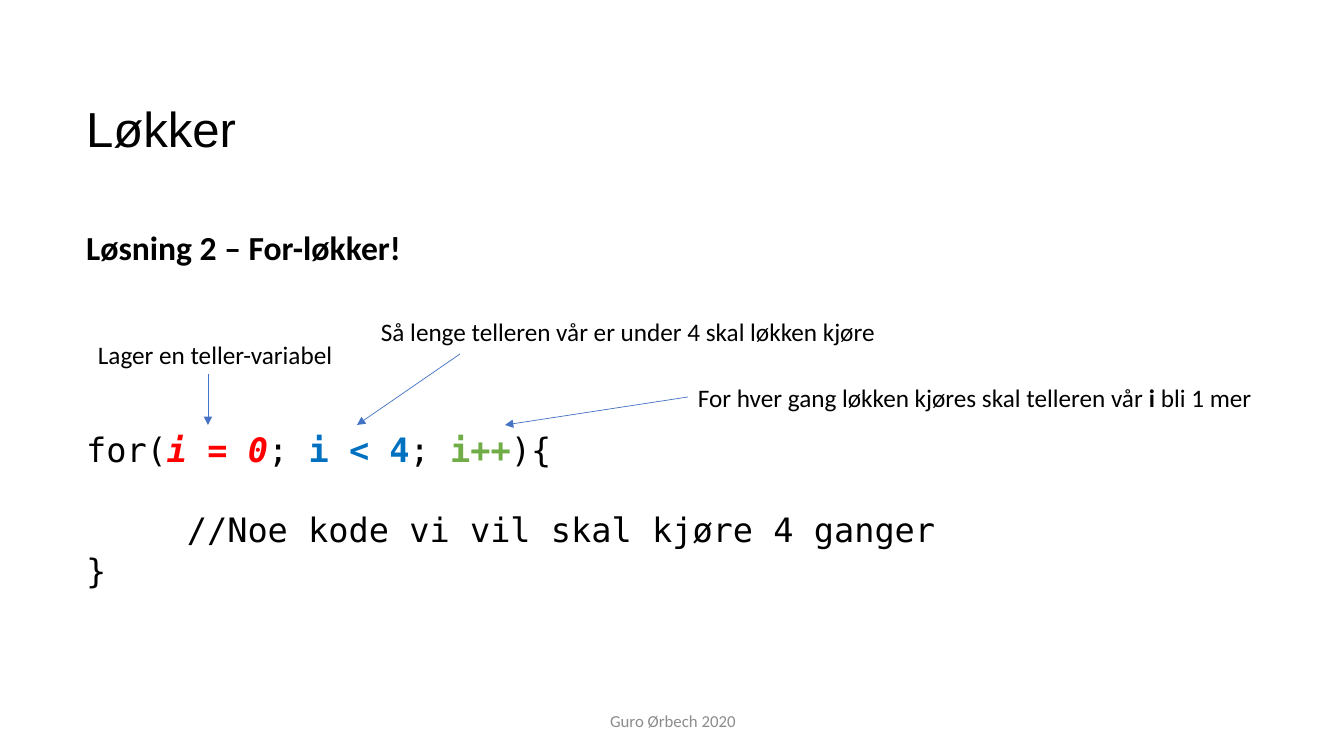
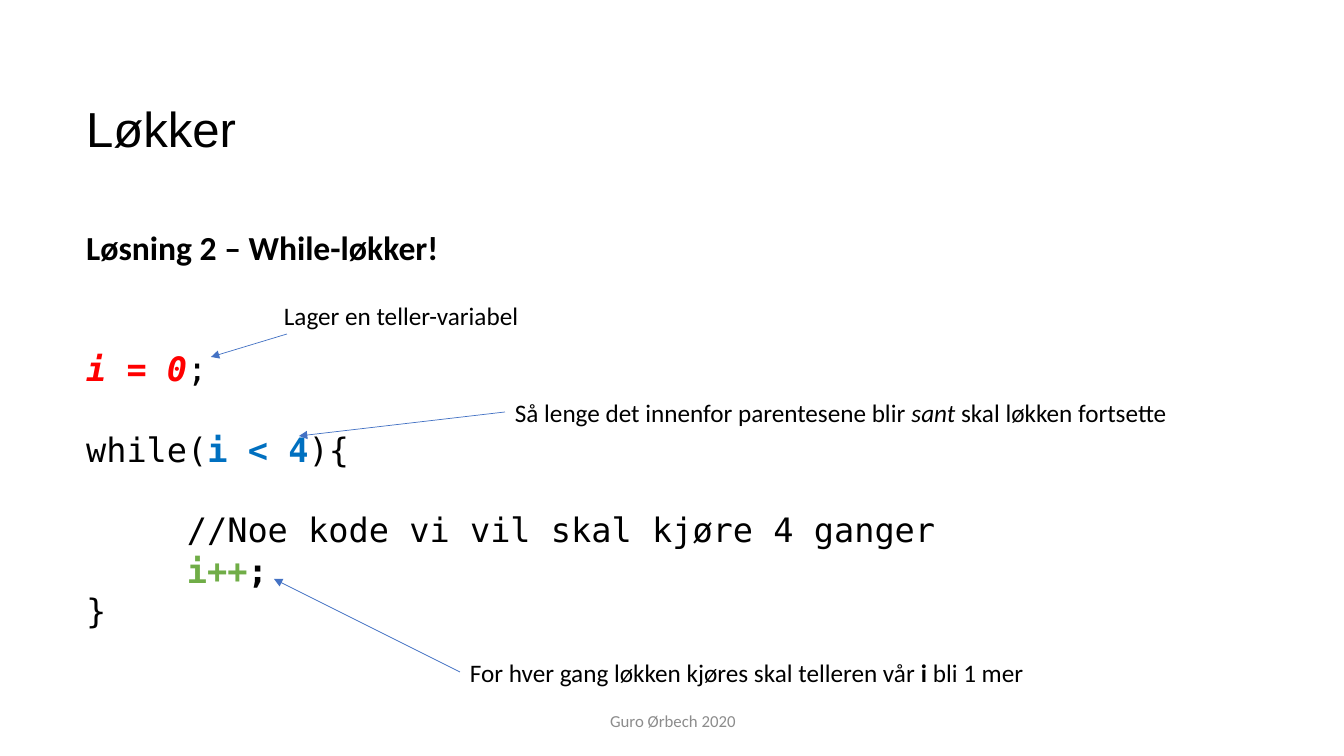
from pptx import Presentation, util as u
from pptx.dml.color import RGBColor
from pptx.enum import shapes, text
from pptx.oxml.ns import qn
from lxml import etree


class Theme:
    black = "000000"
    red = "FF0000"
    blue = "0070C0"
    green = "70AD47"
    grey = "8C8C8C"
    arrow = "4472C4"
    title_font, body_font, code_font = "Arial", "Calibri", "DejaVu Sans Mono"
    title_size, body_size, note_size, footer_size = 35.1, 24, 18, 12
    line_pitch = 28.8
    arrow_width = 0.5
    styles = {
        "plain": (black, False, False),
        "muted": (grey, False, False),
        "bold": (black, True, False),
        "italic": (black, False, True),
        "start": (red, True, True),
        "test": (blue, True, False),
        "step": (green, True, False),
    }


def px(n):
    return u.Emu(round(n * 914400 / 100.8))


class Deck:
    def __init__(self, theme):
        self.theme = theme
        self.prs = Presentation()
        self.prs.slide_width, self.prs.slide_height = px(1344), px(756)
        self.s = None

    def place(self, sp, left, top, width, height):
        sp.left, sp.top, sp.width, sp.height = map(px, (left, top, width, height))

    def add_runs(self, p, parts, font, size):
        for words, style in parts:
            color, bold, italic = self.theme.styles[style]
            r = p.add_run()
            r.text = words
            r.font.name, r.font.size = font, u.Pt(size)
            r.font.bold, r.font.italic = bold, italic
            r.font.color.rgb = RGBColor.from_string(color)

    def slide(self, title):
        self.s = self.prs.slides.add_slide(self.prs.slide_layouts[1])
        sp = self.s.shapes.title
        self.place(sp, 76, 78, 728, 108)
        tf = sp.text_frame
        tf.auto_size = text.MSO_AUTO_SIZE.NONE
        tf.vertical_anchor = text.MSO_ANCHOR.MIDDLE
        p = tf.paragraphs[0]
        p.alignment, p.line_spacing = text.PP_ALIGN.LEFT, 0.9
        self.add_runs(p, [(title, "plain")], self.theme.title_font, self.theme.title_size)
        self.footer("Guro Ørbech 2020")

    def footer(self, words):
        tf = self.s.shapes.add_textbox(px(446), px(701), px(454), px(40)).text_frame
        tf.word_wrap = True
        tf.vertical_anchor = text.MSO_ANCHOR.MIDDLE
        p = tf.paragraphs[0]
        p.alignment = text.PP_ALIGN.CENTER
        self.add_runs(p, [(words, "muted")], self.theme.body_font, self.theme.footer_size)

    def body(self, height, heading, code):
        t = self.theme
        sp = self.s.placeholders[1]
        self.place(sp, 76, 222, 1070, height)
        tf = sp.text_frame
        tf.auto_size = text.MSO_AUTO_SIZE.NONE
        self.line(tf.paragraphs[0], [(heading, "bold")], t.body_font)
        for gap, indent, parts in code:
            self.line(tf.add_paragraph(), parts, t.code_font, gap, indent)

    def line(self, p, parts, font, gap=0, indent=0):
        t = self.theme
        pPr = p._p.get_or_add_pPr()
        pPr.set("marL", str(u.Inches(indent)))
        pPr.set("indent", "0")
        p.line_spacing = u.Pt(t.line_pitch)
        p.space_before = u.Pt(gap * t.line_pitch)
        etree.SubElement(pPr, qn("a:buNone"))
        self.add_runs(p, parts, font, t.body_size)

    def note(self, left, top, width, parts):
        tf = self.s.shapes.add_textbox(px(left), px(top), px(width), px(40)).text_frame
        tf.word_wrap = False
        tf.auto_size = text.MSO_AUTO_SIZE.SHAPE_TO_FIT_TEXT
        self.add_runs(tf.paragraphs[0], parts, self.theme.body_font, self.theme.note_size)

    def arrow(self, x1, y1, x2, y2):
        c = self.s.shapes.add_connector(
            shapes.MSO_CONNECTOR.STRAIGHT, px(x1), px(y1), px(x2), px(y2))
        c.line.color.rgb = RGBColor.from_string(self.theme.arrow)
        c.line.width = u.Pt(self.theme.arrow_width)
        spPr = c._element.spPr
        etree.SubElement(spPr.find(qn("a:ln")), qn("a:tailEnd"), type="triangle")
        etree.SubElement(spPr, qn("a:effectLst"))


TITLE = "Løkker"
START, TEST, STEP = ("i = 0", "start"), ("i < 4", "test"), ("i++", "step")
COMMENT = (1, 1, [("//Noe kode vi vil skal kjøre 4 ganger", "plain")])
CLOSE = (0, 0, [("}", "plain")])
COUNTER_NOTE = [("Lager en teller-variabel", "plain")]
STEP_NOTE = [("For hver gang løkken kjøres skal telleren vår ", "plain"),
             ("i ", "bold"), ("bli 1 mer", "plain")]

deck = Deck(Theme)

deck.slide(TITLE)
deck.body(417, "Løsning 2 – For-løkker!", [
    (4, 0, [("for(", "plain"), START, ("; ", "plain"), TEST,
            ("; ", "plain"), STEP, ("){", "plain")]),
    COMMENT,
    CLOSE,
])
deck.arrow(208, 374, 208, 425)
deck.arrow(460, 354, 357, 425)
deck.arrow(688, 397, 505, 425)
deck.note(88, 334, 258, COUNTER_NOTE)
deck.note(371, 311, 520, [("Så lenge telleren vår er under 4 skal løkken kjøre", "plain")])
deck.note(688, 377, 580, STEP_NOTE)

deck.slide(TITLE)
deck.body(499, "Løsning 2 – While-løkker!", [
    (2, 0, [START, (";", "plain")]),
    (1, 0, [("while(", "plain"), TEST, ("){", "plain")]),
    COMMENT,
    (0, 1, [STEP, (";", "bold")]),
    CLOSE,
])
deck.arrow(287, 334, 211, 357)
deck.arrow(505, 412, 299, 436)
deck.arrow(460, 672, 274, 579)
deck.note(505, 392, 680, [("Så lenge det innenfor parentesene blir ", "plain"),
                          ("sant", "italic"), (" skal løkken fortsette", "plain")])
deck.note(460, 652, 580, STEP_NOTE)
deck.note(274, 295, 258, COUNTER_NOTE)

deck.prs.save("out.pptx")
